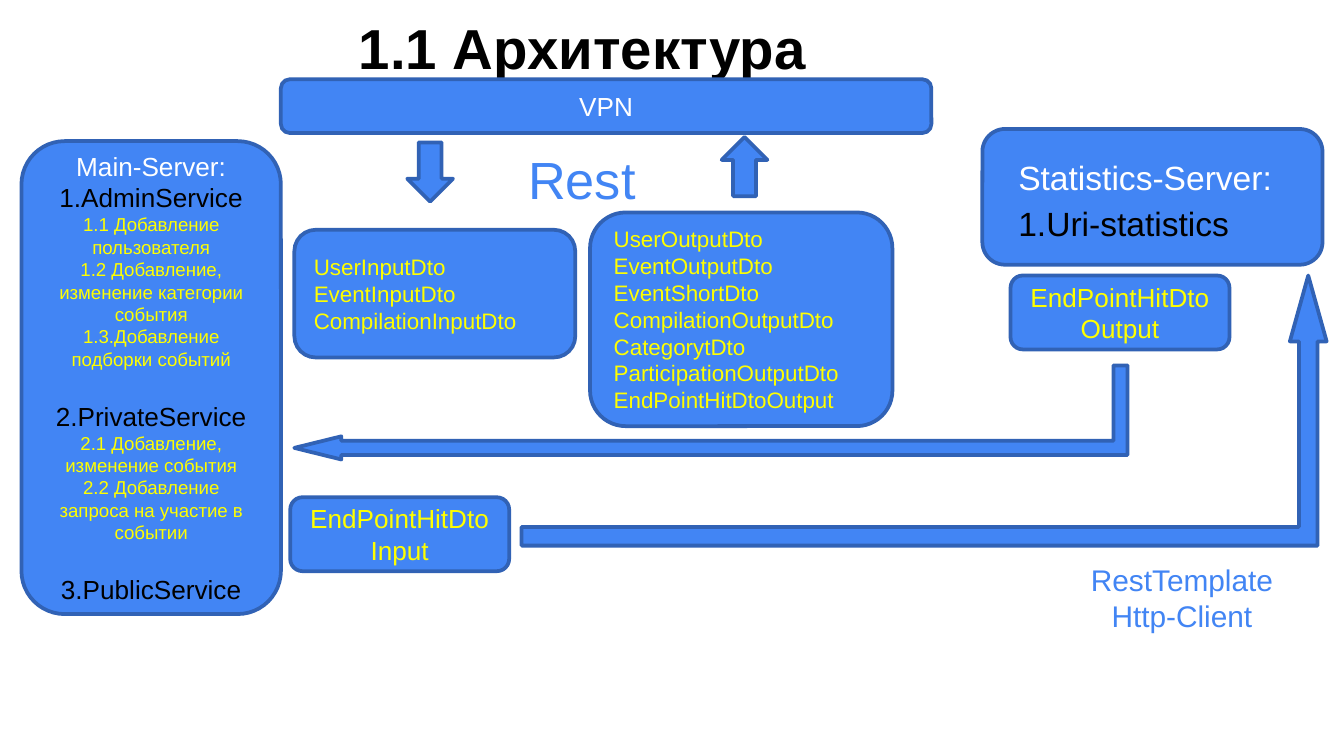
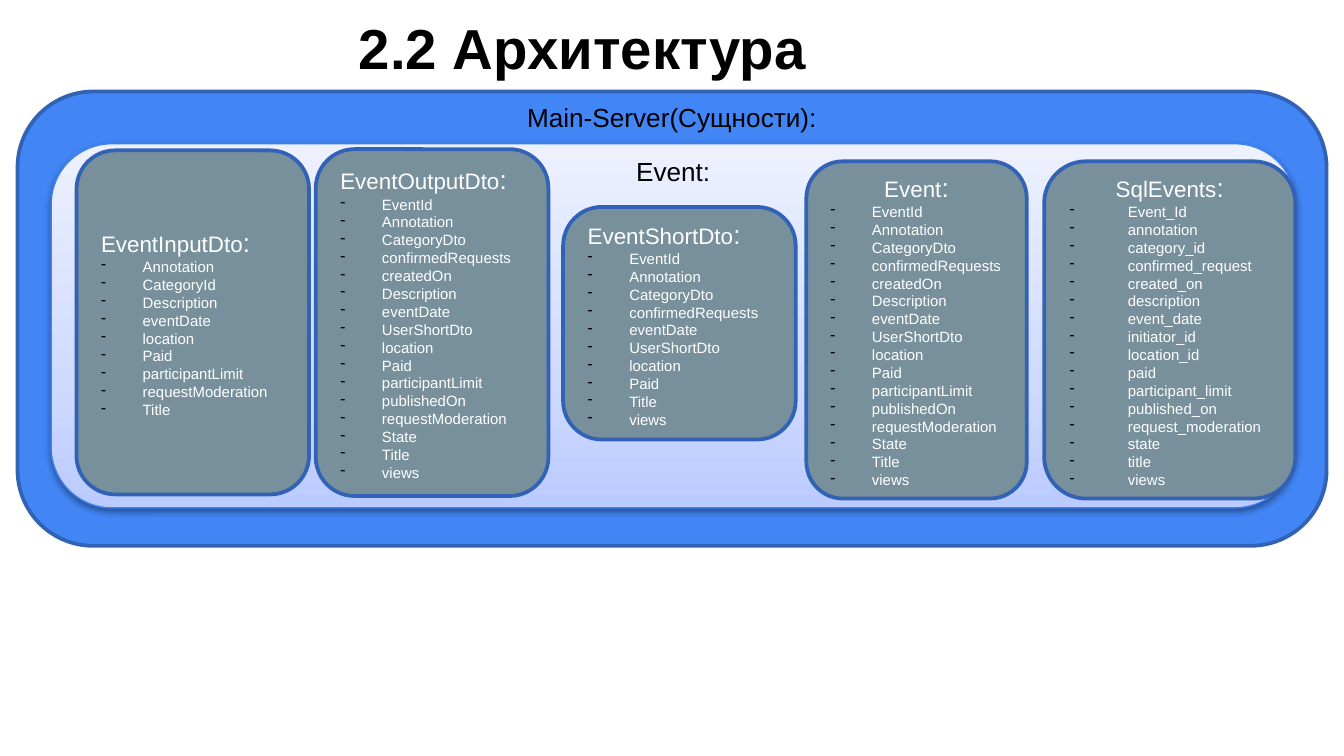
from pptx import Presentation
from pptx.util import Pt
from pptx.dml.color import RGBColor
from pptx.enum.shapes import MSO_SHAPE
from pptx.enum.text import PP_ALIGN, MSO_ANCHOR, MSO_AUTO_SIZE
from pptx.oxml import parse_xml
from pptx.oxml.ns import qn, nsdecls

FONT = "Arial"
HUES = {
    "blue": "4285F4", "edge": "3162B5", "gray": "78909C", "rim": "3C81F3",
    "white": "FFFFFF", "black": "000000", "yellow": "FFFF00",
}
FADE = [(0, "BBCBFF"), (35, "CFDAFF"), (100, "EDF1FF")]
LEFT, MID, JUST = PP_ALIGN.LEFT, PP_ALIGN.CENTER, PP_ALIGN.JUSTIFY

# Entity fields
FULL = ["EventId", "Annotation", "CategoryDto", "confirmedRequests",
        "createdOn", "Description", "eventDate", "UserShortDto", "location",
        "Paid", "participantLimit", "publishedOn", "requestModeration",
        "State", "Title", "views"]
SHORT = ["EventId", "Annotation", "CategoryDto", "confirmedRequests",
         "eventDate", "UserShortDto", "location", "Paid", "Title", "views"]
INPUT = ["Annotation", "CategoryId", "Description", "eventDate", "location",
         "Paid", "participantLimit", "requestModeration", "Title"]
TABLE = ["Event_Id", "annotation", "category_id", "confirmed_request",
         "created_on", "description", "event_date", "initiator_id",
         "location_id", "paid", "participant_limit", "published_on",
         "request_moderation", "state", "title", "views"]

# Name, box, heading alignment, fields, indent
CARDS = [
    ("EventInputDto", (41, 80.6, 124.6, 184.3), JUST, INPUT, 22.3),
    ("EventOutputDto", (169.2, 79.9, 124.6, 185.8), JUST, FULL, 22.3),
    ("Event", (432, 86.4, 118.1, 180.7), MID, FULL, 22.3),
    ("SqlEvents", (559.4, 86.4, 134.6, 180.7), MID, TABLE, 31.2),
    ("EventShortDto", (301.7, 110.9, 124.6, 124.6), JUST, SHORT, 22.3),
]


def rgb(hue):
    return RGBColor.from_string(HUES[hue])


def add_run(para, text, size, hue, bold=False):
    run = para.add_run()
    run.text = text
    font = run.font
    font.name, font.size, font.bold = FONT, Pt(size), bold
    font.color.rgb = rgb(hue)


def next_para(frame, align):
    """Use the first paragraph while it is empty, then add new ones."""
    para = frame.paragraphs[0]
    if para.runs:
        para = frame.add_paragraph()
    para.alignment = align
    return para


def add_line(frame, text, size, hue, align=LEFT, gap=0):
    para = next_para(frame, align)
    para.space_before = Pt(gap)
    add_run(para, text, size, hue)
    return para


def add_shape(slide, kind, box, fill="blue", edge="edge", width=2):
    shape = slide.shapes.add_shape(kind, *map(Pt, box))
    shape.shadow.inherit = False
    shape.fill.solid()
    shape.fill.fore_color.rgb = rgb(fill)
    shape.line.color.rgb = rgb(edge)
    shape.line.width = Pt(width)
    frame = shape.text_frame
    frame.word_wrap = True
    frame.vertical_anchor = MSO_ANCHOR.MIDDLE
    return shape


def add_box(slide, box, lines=(), size=14, hue="yellow", align=LEFT):
    shape = add_shape(slide, MSO_SHAPE.ROUNDED_RECTANGLE, box)
    for text in lines:
        add_line(shape.text_frame, text, size, hue, align)
    return shape


def add_arrow(slide, kind, box, turn=0, bends=(), flip=False):
    shape = add_shape(slide, kind, box)
    shape.rotation = turn
    for i, bend in enumerate(bends):
        shape.adjustments[i] = bend
    if flip:
        shape.element.spPr.find(qn("a:xfrm")).set("flipH", "1")


def add_label(slide, box, lines, size, hue):
    frame = slide.shapes.add_textbox(*map(Pt, box)).text_frame
    frame.word_wrap = True
    for text in lines:
        add_line(frame, text, size, hue, MID)


def add_title(deck, text, width):
    slide = deck.slides.add_slide(deck.slide_layouts[5])
    title = slide.shapes.title
    title.left, title.top = Pt(185), Pt(-2.9)
    title.width, title.height = Pt(width), Pt(45.4)
    frame = title.text_frame
    frame.auto_size = MSO_AUTO_SIZE.NONE
    frame.word_wrap = True
    frame.vertical_anchor = MSO_ANCHOR.TOP
    frame.margin_left = frame.margin_right = Pt(7.2)
    frame.margin_top, frame.margin_bottom = Pt(10), Pt(0)
    add_run(next_para(frame, LEFT), text, 30.2, "black", True)
    return slide


def add_panel(slide, box):
    """Pale panel with a three-stop fade and a soft shadow."""
    shape = add_shape(slide, MSO_SHAPE.ROUNDED_RECTANGLE, box,
                      edge="rim", width=0.75)
    shape.fill.gradient()
    shape.fill.gradient_angle = 90
    props = shape.element.spPr
    stops = props.find(qn("a:gradFill")).find(qn("a:gsLst"))
    for stop in list(stops):
        stops.remove(stop)
    for pos, tone in FADE:
        stops.append(parse_xml(
            f'<a:gs {nsdecls("a")} pos="{pos * 1000}">'
            f'<a:srgbClr val="{tone}"/></a:gs>'))
    props.find(qn("a:effectLst")).append(parse_xml(
        f'<a:outerShdw {nsdecls("a")} blurRad="{Pt(3.1)}" dist="{Pt(1.6)}" '
        'dir="5400000" rotWithShape="0"><a:srgbClr val="000000">'
        '<a:alpha val="38000"/></a:srgbClr></a:outerShdw>'))


def set_dash(para, indent):
    props = para._p.get_or_add_pPr()
    props.set("marL", str(Pt(indent)))
    props.set("indent", str(-Pt(indent)))
    props.append(parse_xml(
        f'<a:buClr {nsdecls("a")}><a:srgbClr val="{HUES["black"]}"/></a:buClr>'))
    props.append(parse_xml(f'<a:buChar {nsdecls("a")} char="-"/>'))


def add_card(slide, name, box, align, fields, indent):
    shape = add_shape(slide, MSO_SHAPE.ROUNDED_RECTANGLE, box, "gray")
    frame = shape.text_frame
    head = add_line(frame, name, 12, "white", align)
    add_run(head, ":", 14, "white")
    for field in fields:
        set_dash(add_line(frame, field, 8, "white", JUST), indent)


def add_main(slide):
    """Main server with its services and their tasks."""
    frame = add_box(slide, (11.5, 75.6, 139, 253.4)).text_frame
    add_line(frame, "Main-Server:", 14, "white", MID)
    groups = [
        ("1.AdminService", ["1.1 Добавление пользователя",
                            "1.2 Добавление, изменение категории события",
                            "1.3.Добавление подборки событий"]),
        ("2.PrivateService", ["2.1 Добавление,", "изменение события",
                              "2.2 Добавление запроса на участие в событии"]),
        ("3.PublicService", []),
    ]
    for i, (name, tasks) in enumerate(groups):
        add_line(frame, name, 14, "black", MID, 16 if i else 0)
        for task in tasks:
            add_line(frame, task, 10, "yellow", MID)


def add_stats(slide):
    frame = add_box(slide, (526.3, 69.1, 182.2, 72.7)).text_frame
    frame.margin_top = frame.margin_bottom = Pt(7.2)
    for text, hue in (("Statistics-Server:", "white"),
                      ("1.Uri-statistics", "black")):
        para = add_line(frame, text, 18, hue)
        para.line_spacing = 1.15
        para._p.get_or_add_pPr().set("marL", str(Pt(8.6)))


def draw_flow(deck):
    slide = add_title(deck, "1.1 Архитектура", 268.6)
    # Servers and transfer objects
    add_box(slide, (157.7, 123.1, 150.5, 68.4),
            ["UserInputDto", "EventInputDto", "CompilationInputDto"], 12)
    add_main(slide)
    add_stats(slide)
    # Traffic to and from the network
    down = MSO_SHAPE.DOWN_ARROW
    add_arrow(slide, down, (218.2, 76.3, 24.5, 31.7))
    add_arrow(slide, down, (386.6, 73.4, 24.5, 31.7), 180)
    add_label(slide, (275, 75.6, 73.4, 41), ["Rest"], 28, "blue")
    add_box(slide, (316.1, 113.8, 162, 114.5),
            ["UserOutputDto", "EventOutputDto", "EventShortDto",
             "CompilationOutputDto", "CategorytDto",
             "ParticipationOutputDto", "EndPointHitDtoOutput"], 12)
    # Exchange between the servers
    bent = MSO_SHAPE.BENT_UP_ARROW
    add_arrow(slide, bent, (279.4, 147.6, 431.3, 144.7),
              bends=(0.069, 0.068, 0.244))
    add_label(slide, (574.6, 297.4, 117.3, 46),
              ["RestTemplate", "Http-Client"], 16, "blue")
    for left, top, text in ((155.5, 266.4, "EndPointHitDtoInput"),
                            (541.4, 147.6, "EndPointHitDtoOutput")):
        add_box(slide, (left, top, 117.3, 39.6), [text], align=MID)
    add_arrow(slide, bent, (355.7, -2.2, 50.4, 446.4), 270,
              (0.15, 0.123, 0.5), True)
    add_box(slide, (150.5, 42.5, 348.5, 28.8), ["VPN"], 14, "white", MID)


def draw_data(deck):
    slide = add_title(deck, "2.2 Архитектура", 274.3)
    # Nested frames with their headings
    add_box(slide, (9.4, 49, 701.3, 243.4))
    add_label(slide, (260, 50.8, 200, 23.3), ["Main-Server(Сущности):"],
              14, "black")
    add_panel(slide, (27.4, 77, 666.7, 195.1))
    add_label(slide, (310.7, 79.8, 100, 23.3), ["Event:"], 14, "black")
    # Entity cards
    for card in CARDS:
        add_card(slide, *card)


def main():
    deck = Presentation()
    deck.slide_width, deck.slide_height = Pt(720), Pt(405)
    draw_flow(deck)
    draw_data(deck)
    deck.save("out.pptx")


main()
